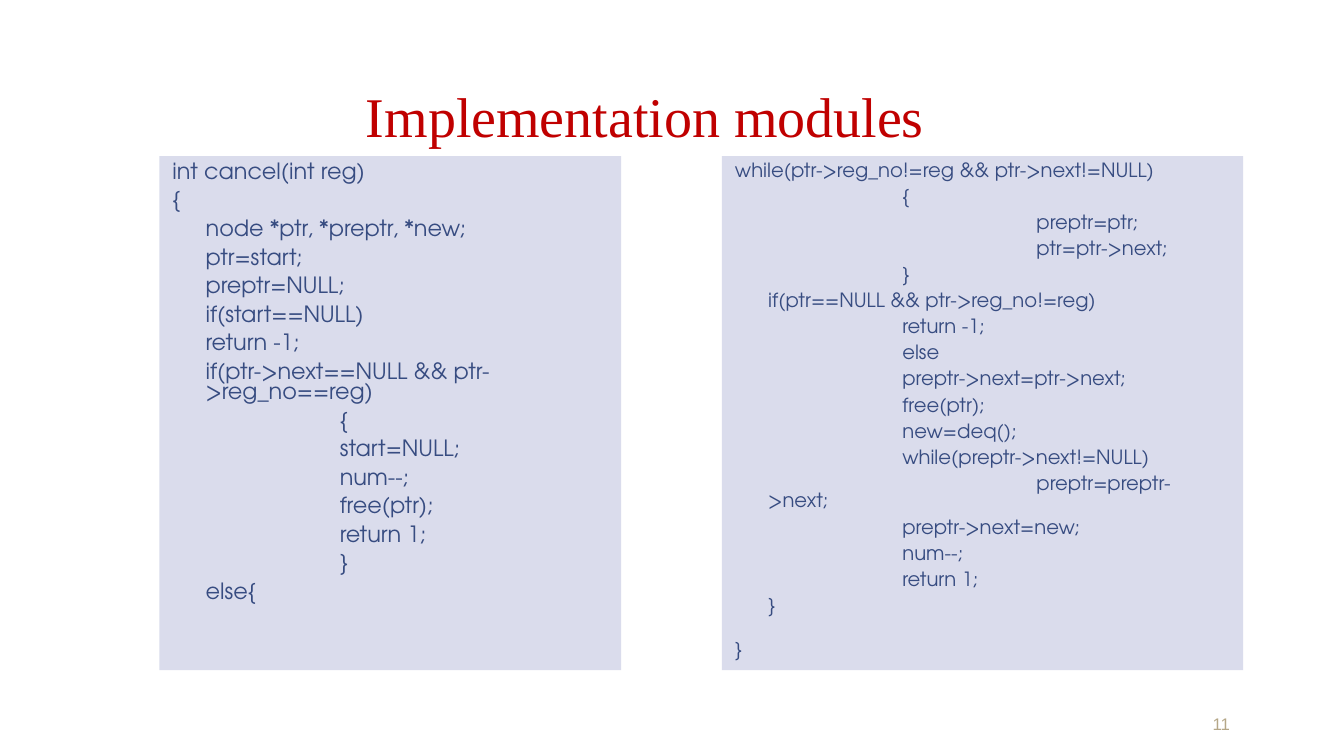
import pptx
import pptx.util
import pptx.enum.text
import pptx.enum.shapes
import pptx.dml.color

Inches = pptx.util.Inches
Pt = pptx.util.Pt
ALIGN = pptx.enum.text.PP_ALIGN
ANCHOR = pptx.enum.text.MSO_ANCHOR

COLORS = {"title": "C00000", "code": "374C81", "panel": "DADCEC", "number": "B5A788"}
CODE_FONT = "TeX Gyre Adventor"
TITLE = "Implementation modules"
NUMBER = "11"

LEFT = [
    (0, "int cancel(int reg)"),
    (0, "{"),
    (1, "node *ptr, *preptr, *new;"),
    (1, "ptr=start;"),
    (1, "preptr=NULL;"),
    (1, "if(start==NULL)"),
    (1, "return -1;"),
    (1, "if(ptr->next==NULL && ptr->reg_no==reg)"),
    (2, "{"),
    (2, "start=NULL;"),
    (2, "num--;"),
    (2, "free(ptr);"),
    (2, "return 1;"),
    (2, "}"),
    (1, "else{"),
]
RIGHT = [
    (0, "while(ptr->reg_no!=reg && ptr->next!=NULL)"),
    (2, "{"),
    (3, "preptr=ptr;"),
    (3, "ptr=ptr->next;"),
    (2, "}"),
    (1, "if(ptr==NULL && ptr->reg_no!=reg)"),
    (2, "return -1;"),
    (2, "else"),
    (2, "preptr->next=ptr->next;"),
    (2, "free(ptr);"),
    (2, "new=deq();"),
    (2, "while(preptr->next!=NULL)"),
    (3, "preptr=preptr->next;"),
    (2, "preptr->next=new;"),
    (2, "num--;"),
    (2, "return 1;"),
    (1, "}"),
    (0, "}"),
]
PANELS = [(1.58, 4.58, 16, 6, LEFT), (7.16, 5.17, 14, 18.7, RIGHT)]
HANG, TAB = 0.33, 1.33


def paint(text):
    return pptx.dml.color.RGBColor.from_string(COLORS[text])


def setup(frame, anchor):
    frame.word_wrap = True
    frame.vertical_anchor = anchor
    frame.margin_left = frame.margin_right = Inches(0.13)
    frame.margin_top = frame.margin_bottom = Inches(0.07)


def style(para, font, size, color):
    for run in para.runs:
        run.font.name = font
        run.font.size = Pt(size)
        run.font.color.rgb = paint(color)


def indent(para, margin, first):
    props = para._p.get_or_add_pPr()
    props.set("marL", str(Inches(margin)))
    props.set("indent", str(Inches(first)))


def label(slide, box, text, font, size, color):
    frame = slide.shapes.add_textbox(*map(Inches, box)).text_frame
    setup(frame, ANCHOR.BOTTOM)
    frame.text = text
    para = frame.paragraphs[0]
    style(para, font, size, color)
    return para


def panel(slide, left, width, size, last, lines):
    shape = slide.shapes.add_shape(
        pptx.enum.shapes.MSO_SHAPE.RECTANGLE,
        Inches(left), Inches(1.55), Inches(width), Inches(5.1))
    shape.shadow.inherit = False
    shape.fill.solid()
    shape.fill.fore_color.rgb = paint("panel")
    shape.line.fill.background()
    frame = shape.text_frame
    setup(frame, ANCHOR.TOP)
    frame.text = "\n".join(text for depth, text in lines)
    for row, (para, (depth, text)) in enumerate(zip(frame.paragraphs, lines)):
        indent(para, HANG, (depth - 1) * TAB if depth else -HANG)
        para.alignment = ALIGN.LEFT
        para.line_spacing = 0.75
        para.space_before = Pt(6 if row else 0)
        style(para, CODE_FONT, size, "code")
    para.space_before = Pt(last)


def main():
    deck = pptx.Presentation()
    deck.slide_width, deck.slide_height = Inches(13.33), Inches(7.5)
    slide = deck.slides.add_slide(deck.slide_layouts[6])
    for spec in PANELS:
        panel(slide, *spec)
    para = label(slide, (11.12, 7, 1.21, 0.35), NUMBER, "Arial", 12, "number")
    para.alignment = ALIGN.RIGHT
    para = label(slide, (2.25, 0.3, 8.2, 1.25), TITLE, "Times New Roman", 40, "title")
    para.line_spacing = 0.85
    indent(para, 1.25, 0)
    deck.save("out.pptx")


if __name__ == "__main__":
    main()
